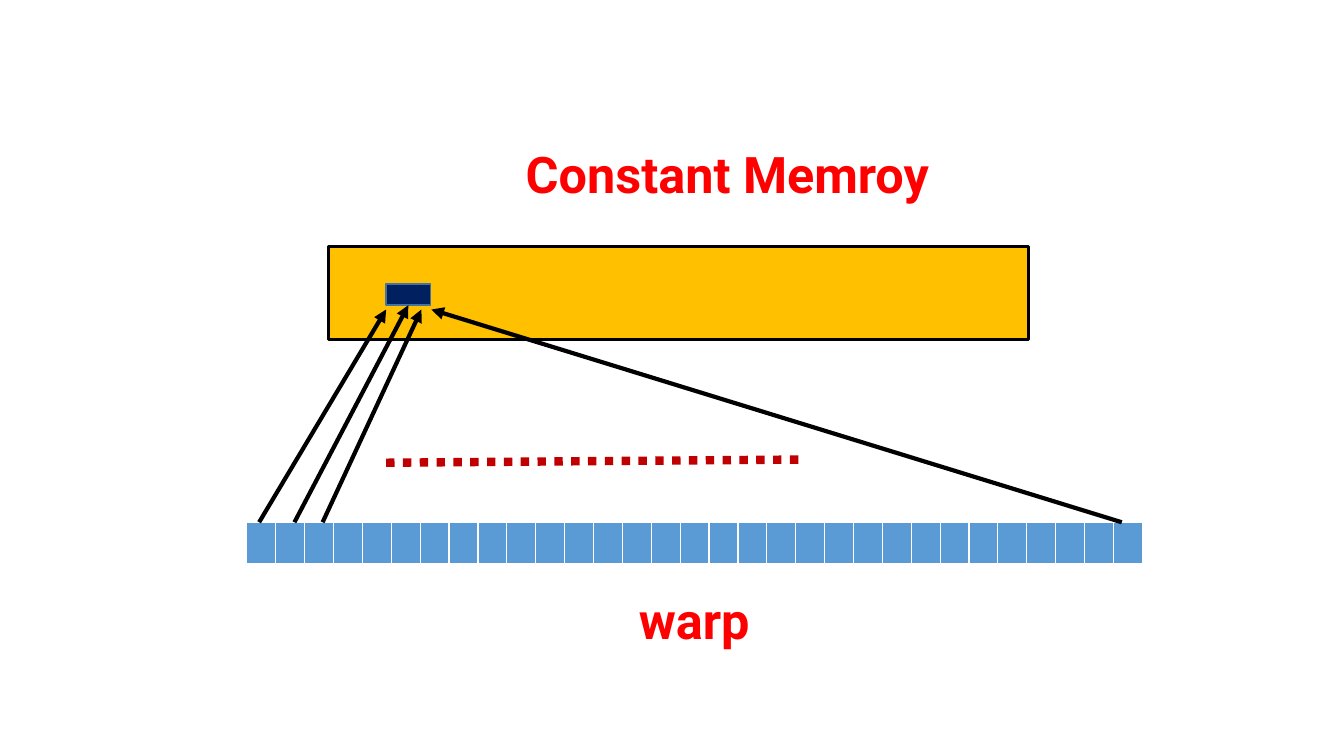
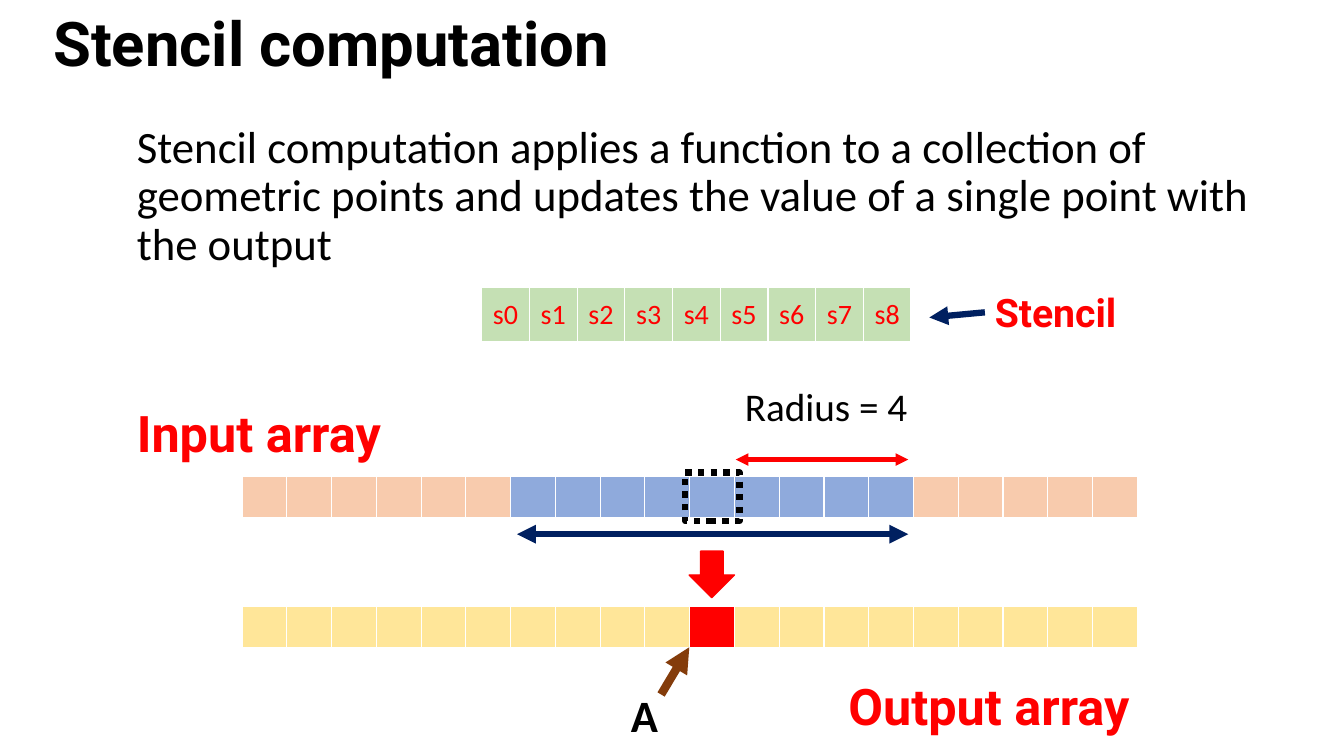
from pptx import Presentation
from pptx import util as u
from pptx.dml.color import RGBColor
from pptx.enum import dml, shapes, text
from pptx.oxml.ns import qn
from lxml import etree

BLACK, RED, NAVY = "000000", "FF0000", "002060"
HEADING, BODY = "Roboto", "Calibri"


def color(value):
    return RGBColor.from_string(value)


class Slides:
    """Holds the deck, the current page and the shared style."""

    TITLE_ONLY, BLANK = 5, 6
    STRIP = (22.58, 1.04)  # width and height of an array of cells

    def __init__(self):
        self.deck = Presentation()
        self.deck.slide_width = u.Cm(33.87)
        self.deck.slide_height = u.Cm(19.05)
        self.page = None

    def new_page(self, title=None):
        layout = self.BLANK if title is None else self.TITLE_ONLY
        self.page = self.deck.slides.add_slide(self.deck.slide_layouts[layout])
        if title is not None:
            box = self.page.shapes.title
            box.left, box.top = u.Cm(1.09), u.Cm(-0.66)
            box.width, box.height = u.Cm(29.21), u.Cm(3.68)
            box.text_frame.vertical_anchor = text.MSO_ANCHOR.MIDDLE
            self.set_text(box.text_frame, title, 44, BLACK, HEADING, True, spacing=0.9)

    def set_text(self, frame, words, size, ink, font, bold,
                 align=text.PP_ALIGN.LEFT, spacing=None):
        frame.text = words
        frame.word_wrap = True
        para = frame.paragraphs[0]
        para.alignment = align
        para.line_spacing = spacing
        for span in para.runs:
            span.font.size, span.font.name = u.Pt(size), font
            span.font.bold, span.font.color.rgb = bold, color(ink)

    def label(self, words, left, top, width, height, size=36, ink=RED,
              font=HEADING, bold=True, spacing=None):
        box = self.page.shapes.add_textbox(*map(u.Cm, (left, top, width, height)))
        self.set_text(box.text_frame, words, size, ink, font, bold, spacing=spacing)

    def shape(self, kind, left, top, width, height, fill, line, weight, dash=None):
        box = self.page.shapes.add_shape(kind, *map(u.Cm, (left, top, width, height)))
        box.shadow.inherit = False
        if fill:
            box.fill.solid()
            box.fill.fore_color.rgb = color(fill)
        else:
            box.fill.background()
        self.stroke(box.line, line, weight, dash)
        return box

    def stroke(self, line, ink, weight, dash):
        line.color.rgb = color(ink)
        line.width = u.Pt(weight)
        if dash:
            line.dash_style = dash

    def line(self, start, end, ink=BLACK, weight=3, ends=("tailEnd",), dash=None):
        link = self.page.shapes.add_connector(
            shapes.MSO_CONNECTOR.STRAIGHT, *map(u.Cm, start + end))
        self.stroke(link.line, ink, weight, dash)
        properties = link._element.spPr
        for name in ends:
            etree.SubElement(properties.find(qn("a:ln")), qn("a:" + name), type="triangle")
        etree.SubElement(properties, qn("a:effectLst"))
        return link

    def cells(self, left, top, fills, size=STRIP, words=None):
        """One row of equal cells, split by the white rules of the table style."""
        width, height = map(u.Cm, size)
        count = len(fills)
        table = self.page.shapes.add_table(
            1, count, u.Cm(left), u.Cm(top), width, height).table
        table.horz_banding = False
        for index, fill in enumerate(fills):
            table.columns[index].width = width // count
            cell = table.cell(0, index)
            cell.fill.solid()
            cell.fill.fore_color.rgb = color(fill)
            if words:
                cell.vertical_anchor = text.MSO_ANCHOR.MIDDLE
                self.set_text(cell.text_frame, words[index], 20, RED, BODY, False,
                              text.PP_ALIGN.CENTER)


def memory_page(slides):
    slides.new_page()
    rectangle = shapes.MSO_SHAPE.RECTANGLE

    # Constant memory and the warp that reads it
    slides.shape(rectangle, 8.28, 6.22, 17.65, 2.34, "FFC000", BLACK, 2.25)
    slides.label("Constant Memroy", 13, 3.48, 10.72, 1.8)
    slides.cells(6.22, 13.16, ["5B9BD5"] * 31)
    slides.label("warp", 15.85, 14.73, 9.32, 1.8)
    word = slides.shape(rectangle, 9.73, 7.16, 1.12, 0.53, NAVY, "43739E", 1)

    # All threads read the same word
    for thread, target in ((6.53, 9.73), (8.13, 10.62), (28.27, 10.87)):
        slides.line((thread, 13.16), (target, 7.8))
    slides.line((7.42, 13.16), (10.29, 7.69)).end_connect(word, 2)
    slides.line((9.73, 11.66), (20.14, 11.58), "C00000", 6, (),
                dml.MSO_LINE.ROUND_DOT)


def stencil_page(slides):
    slides.new_page("Stencil computation")
    both = ("headEnd", "tailEnd")
    slides.label(
        "Stencil computation applies a function to a collection of geometric points "
        "and updates the value of a single point with the output",
        3.2, 3.02, 29.21, 12.09, 32, BLACK, BODY, False, 0.9)

    # Input and output arrays
    outside, inside, result = "F8CBAD", "8FAADC", "FFE699"
    slides.cells(6.1, 12.01, [outside] * 6 + [inside] * 9 + [outside] * 5)
    slides.cells(6.1, 15.27, [result] * 10 + [RED] + [result] * 9)
    slides.label("Input array", 3.2, 10.01, 7.54, 1.8)
    slides.label("Output array", 21.13, 16.89, 10.54, 1.8)

    # From the neighbourhood to one output cell
    slides.line((13.03, 13.46), (22.89, 13.46), NAVY, 4.5, both)
    slides.shape(shapes.MSO_SHAPE.DOWN_ARROW, 17.37, 13.89, 1.14, 1.17, RED, RED, 1)
    slides.label("A", 15.65, 17.2, 2.87, 1.63, 32, BLACK, BODY)
    slides.line((16.66, 17.5), (17.37, 16.31), "843C0B", 6)

    # Radius around the centre cell
    slides.label("Radius = 4", 18.52, 9.5, 5.26, 1.45, 28, BLACK, BODY, False)
    slides.line((18.54, 11.58), (22.89, 11.58), RED, 3, both)
    slides.shape(shapes.MSO_SHAPE.RECTANGLE, 17.27, 11.91, 1.37, 1.22,
                 None, BLACK, 4.5, dml.MSO_LINE.ROUND_DOT)

    # Stencil coefficients
    slides.label("Stencil", 24.82, 7.14, 7.7, 1.45, 28)
    slides.cells(12.14, 7.24, ["C5E0B4"] * 9, (10.82, 1.37),
                 [f"s{index}" for index in range(9)])
    slides.line((24.82, 7.87), (23.42, 8), NAVY, 4.5)


def main():
    slides = Slides()
    memory_page(slides)
    stencil_page(slides)
    slides.deck.save("out.pptx")


if __name__ == "__main__":
    main()
